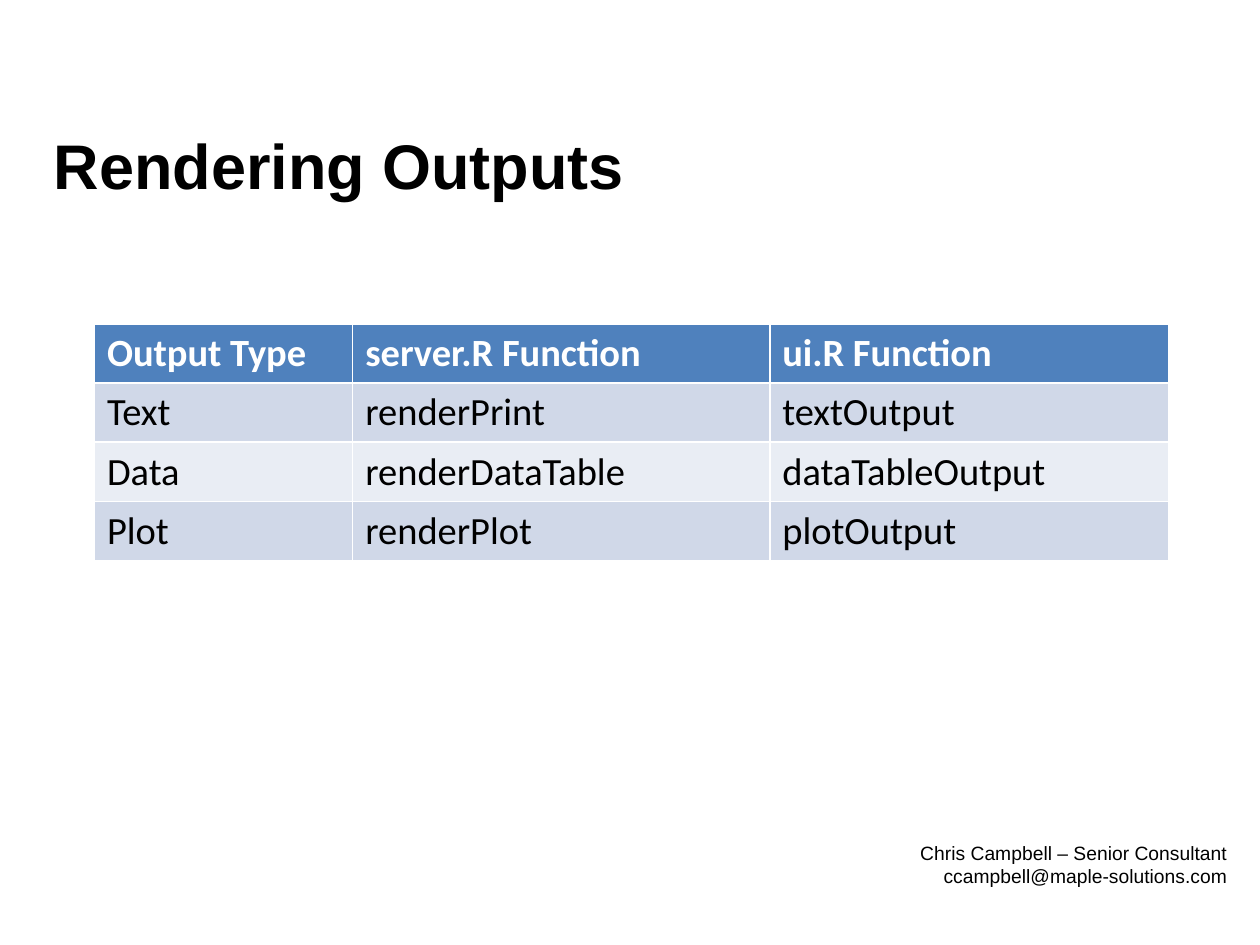
from pptx import Presentation
from pptx.dml.color import RGBColor
from pptx.enum.text import MSO_ANCHOR, PP_ALIGN
from pptx.util import Inches, Pt

LEFT, RIGHT = PP_ALIGN.LEFT, PP_ALIGN.RIGHT
TOP, MIDDLE = MSO_ANCHOR.TOP, MSO_ANCHOR.MIDDLE

BLACK = RGBColor(0x00, 0x00, 0x00)
WHITE = RGBColor(0xFF, 0xFF, 0xFF)
HEADER_BLUE = RGBColor(0x4F, 0x81, 0xBD)
BANDS = (RGBColor(0xD0, 0xD8, 0xE8), RGBColor(0xE9, 0xED, 0xF4))

BLANK_LAYOUT = 6
TEXT_FONT = "Arial"
TABLE_FONT = "Calibri"
TABLE_SIZE = 22


class SlideBuilder:
    """Holds the style and the current slide."""

    def __init__(self, slide):
        self.slide = slide

    def format_text(self, frame, font, size, color, bold=False, align=LEFT):
        for paragraph in frame.paragraphs:
            paragraph.alignment = align
            for run in paragraph.runs:
                run.font.name = font
                run.font.size = Pt(size)
                run.font.bold = bold
                run.font.color.rgb = color

    def text(self, content, left, top, width, height, size,
             bold=False, align=LEFT, anchor=TOP, wrap=True):
        box = self.slide.shapes.add_textbox(
            Inches(left), Inches(top), Inches(width), Inches(height))
        frame = box.text_frame
        frame.word_wrap = wrap
        frame.vertical_anchor = anchor
        frame.text = content
        self.format_text(frame, TEXT_FONT, size, BLACK, bold, align)

    def table(self, rows, left, top, column_widths, row_height):
        # The default table style supplies the white cell borders
        table = self.slide.shapes.add_table(
            len(rows), len(column_widths), Inches(left), Inches(top),
            Inches(sum(column_widths)), Inches(row_height * len(rows))).table
        for column, width in zip(table.columns, column_widths):
            column.width = Inches(width)
        for r, values in enumerate(rows):
            header = r == 0
            fill = HEADER_BLUE if header else BANDS[(r - 1) % 2]
            for c, value in enumerate(values):
                cell = table.cell(r, c)
                cell.fill.solid()
                cell.fill.fore_color.rgb = fill
                cell.text_frame.text = value
                self.format_text(cell.text_frame, TABLE_FONT, TABLE_SIZE,
                                 WHITE if header else BLACK, header)


def main():
    presentation = Presentation()
    presentation.slide_width = Inches(10)
    presentation.slide_height = Inches(7.5)
    layout = presentation.slide_layouts[BLANK_LAYOUT]
    builder = SlideBuilder(presentation.slides.add_slide(layout))

    # Contact details
    builder.text("Chris Campbell – Senior Consultant\n"
                 "ccampbell@maple-solutions.com",
                 7.18, 6.63, 2.66, 0.47, 11, align=RIGHT, wrap=False)

    # Title
    builder.text("Rendering Outputs", 0.33, 0.68, 9.24, 1.25, 36,
                 bold=True, anchor=MIDDLE)

    # Output functions
    output_functions = [
        ("Output Type", "server.R Function", "ui.R Function"),
        ("Text", "renderPrint", "textOutput"),
        ("Data", "renderDataTable", "dataTableOutput"),
        ("Plot", "renderPlot", "plotOutput"),
    ]
    builder.table(output_functions, 0.75, 2.57, (2.05, 3.31, 3.17), 0.47)

    presentation.save("out.pptx")


if __name__ == "__main__":
    main()
